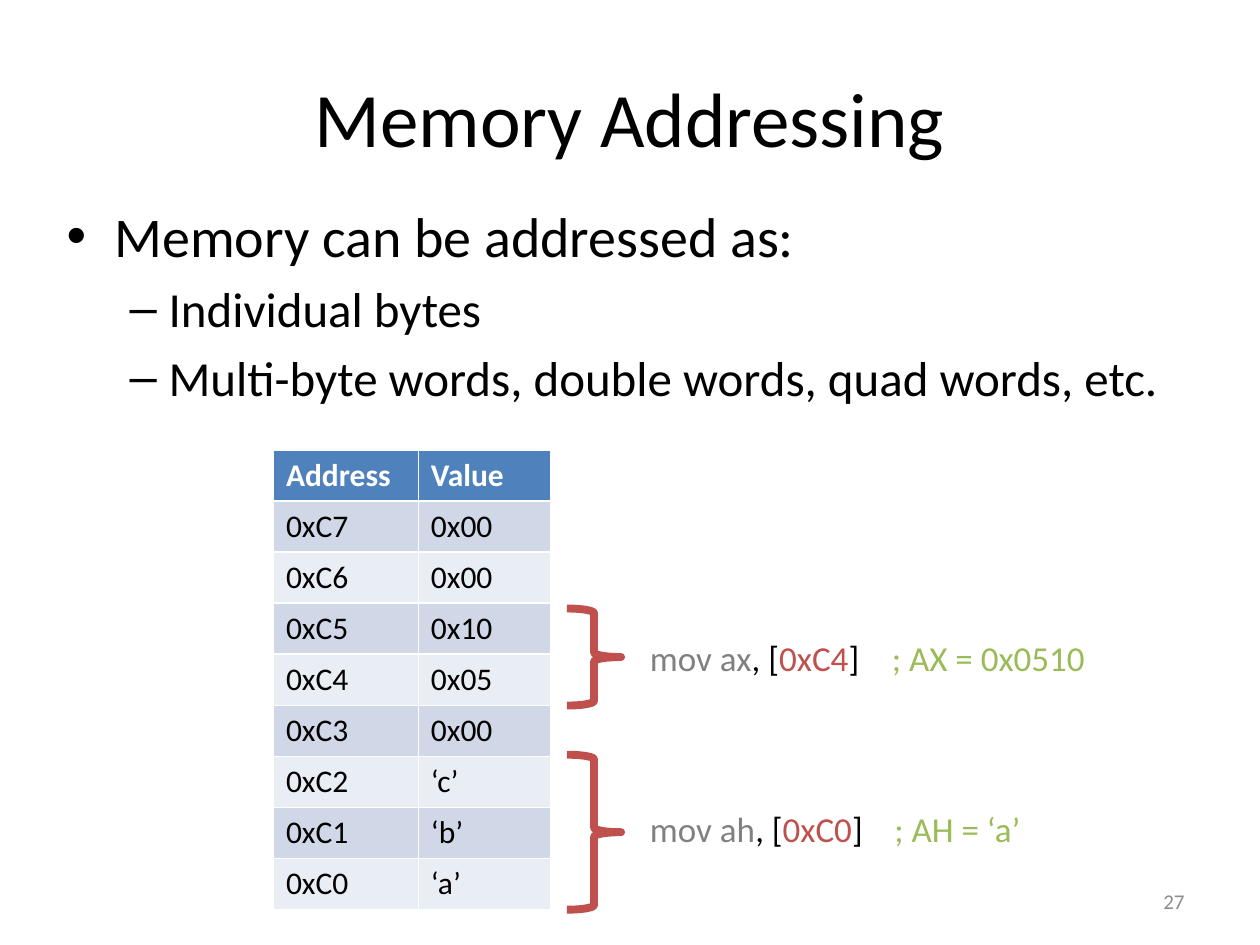
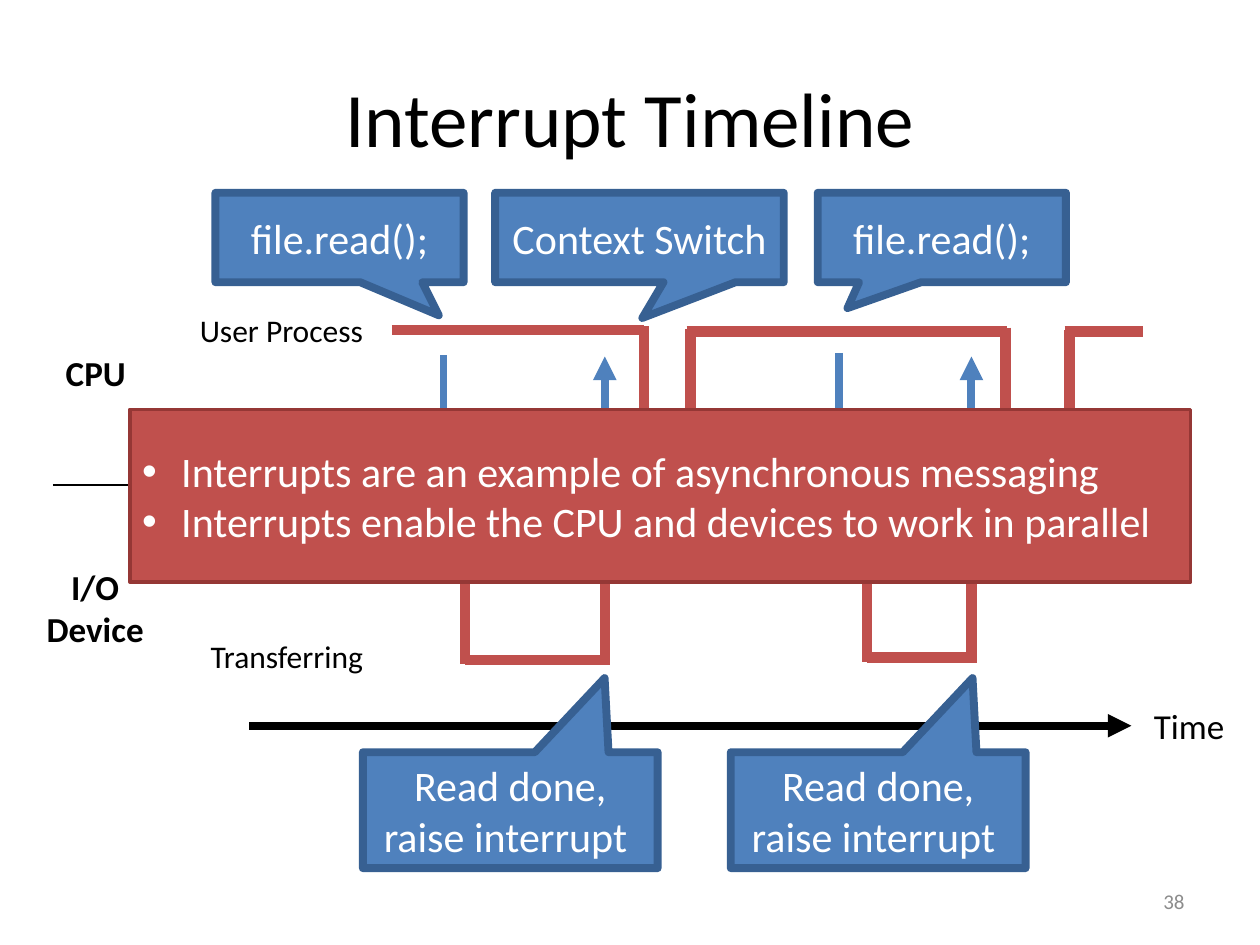
from lxml import etree
from pptx import Presentation
from pptx.dml import color
from pptx.enum import shapes, text
from pptx.oxml import ns
from pptx.util import Inches, Pt

BLACK, WHITE, GRAY, PALE = "000000", "FFFFFF", "808080", "8C8C8C"
BLUE, NAVY, RED, MAROON, GREEN = "4F81BD", "376092", "C0504D", "953735", "9BBB59"
BANDS = ("E9EDF4", "D0D8E8")
SHAPE = shapes.MSO_SHAPE
ALIGN = {"l": text.PP_ALIGN.LEFT, "c": text.PP_ALIGN.CENTER, "r": text.PP_ALIGN.RIGHT}


def rgb(value):
    return color.RGBColor.from_string(value)


def sub(parent, tag, **attrs):
    el = etree.SubElement(parent, ns.qn(tag))
    for name, value in attrs.items():
        el.set(name, str(value))
    return el


class Deck:
    font = "Calibri"

    def __init__(self):
        self.prs = Presentation()
        self.prs.slide_width, self.prs.slide_height = Inches(10), Inches(7.5)

    def slide(self, title, number):
        self.s = self.prs.slides.add_slide(self.prs.slide_layouts[6])
        self.text((0.5, 0.3, 9, 1.25), title, 44, align="c", middle=True)
        self.text((7.17, 6.95, 2.33, 0.4), number, 12, PALE, align="r", middle=True)

    def run(self, p, words, size, fill=BLACK, bold=False):
        r = p.add_run()
        r.text = words
        for name, value in {"name": self.font, "size": Pt(size), "bold": bold}.items():
            setattr(r.font, name, value)
        r.font.color.rgb = rgb(fill)

    def frame(self, sp, middle=False, wrap=True):
        tf = sp.text_frame
        anchor = text.MSO_ANCHOR.MIDDLE if middle else text.MSO_ANCHOR.TOP
        for name, value in {"word_wrap": wrap, "vertical_anchor": anchor}.items():
            setattr(tf, name, value)
        return tf

    def box(self, at):
        return self.s.shapes.add_textbox(*map(Inches, at))

    def text(self, at, words, size, fill=BLACK, bold=False, align="l", middle=False, wrap=True):
        p = self.frame(self.box(at), middle, wrap).paragraphs[0]
        p.alignment = ALIGN[align]
        self.run(p, words, size, fill, bold)

    def code(self, at, parts, tab):
        p = self.frame(self.box(at)).paragraphs[0]
        for words, fill in parts:
            self.run(p, words, 20, fill)
        tabs = sub(p._p.get_or_add_pPr(), "a:tabLst")
        sub(tabs, "a:tab", pos=Inches(tab), algn="l")

    def bullets(self, sp, items, fill=BLACK, middle=False):
        tf = self.frame(sp, middle)
        for i, (words, mark, size, left, hang, before) in enumerate(items):
            p = tf.add_paragraph() if i else tf.paragraphs[0]
            p.alignment = ALIGN["l"]
            p.space_before = Pt(before)
            pPr = p._p.get_or_add_pPr()
            for name, value in {"marL": left, "indent": -hang}.items():
                pPr.set(name, str(Inches(value)))
            sub(pPr, "a:buFont", typeface="Arial")
            sub(pPr, "a:buChar", char=mark)
            self.run(p, words, size, fill)

    def shape(self, kind, at, line, width, fill=None, adjust=()):
        sp = self.s.shapes.add_shape(kind, *map(Inches, at))
        sp.shadow.inherit = False
        if fill:
            sp.fill.solid()
            sp.fill.fore_color.rgb = rgb(fill)
        else:
            sp.fill.background()
        sp.line.color.rgb = rgb(line)
        sp.line.width = Pt(width)
        for i, value in enumerate(adjust):
            sp.adjustments[i] = value
        return sp

    def callout(self, at, words, tip):
        sp = self.shape(SHAPE.RECTANGULAR_CALLOUT, at, NAVY, 4.5, BLUE, tip)
        p = self.frame(sp, middle=True).paragraphs[0]
        p.alignment = ALIGN["c"]
        self.run(p, words, 24, WHITE)

    def line(self, ends, fill, width, arrow=False):
        sp = self.s.shapes.add_connector(shapes.MSO_CONNECTOR.STRAIGHT, *map(Inches, ends))
        sp.line.color.rgb = rgb(fill)
        sp.line.width = Pt(width)
        if arrow:
            sub(sp.line._get_or_add_ln(), "a:tailEnd", type="triangle")
        sub(sp._element.spPr, "a:effectLst")

    def table(self, at, widths, rows):
        tb = self.s.shapes.add_table(len(rows), len(widths), *map(Inches, at)).table
        for col, width in zip(tb.columns, widths):
            col.width = Inches(width)
        for i, row in enumerate(rows):
            for j, words in enumerate(row):
                cell = tb.cell(i, j)
                cell.fill.solid()
                cell.fill.fore_color.rgb = rgb(BANDS[i % 2] if i else BLUE)
                p = cell.text_frame.paragraphs[0]
                self.run(p, words, 18, BLACK if i else WHITE, i == 0)


def memory_addressing(deck):
    deck.slide("Memory Addressing", "27")
    values = ["0x00", "0x00", "0x10", "0x05", "0x00", "‘c’", "‘b’", "‘a’"]
    memory = [(f"0xC{7 - i}", value) for i, value in enumerate(values)]
    deck.table((2.17, 3.57, 2.2, 3.65), (1.15, 1.05), [("Address", "Value")] + memory)
    for top, height in ((5.99, 1.23), (4.83, 0.77)):
        deck.shape(SHAPE.RIGHT_BRACE, (4.5, top, 0.43, height), RED, 4.5)
    for top, register, address, note, tab in (
        (6.36, "ah", "0xC0", "; AH = ‘a’", 1.94),
        (5, "ax", "0xC4", "; AX = 0x0510", 1.92),
    ):
        parts = ((f"mov {register}", GRAY), (", [", BLACK), (address, RED),
                 ("]\t", BLACK), (note, GREEN))
        deck.code((5.06, top, 4, 0.44), parts, tab)
    deck.bullets(deck.box((0.43, 1.55, 9.25, 1.87)), [
        ("Memory can be addressed as:", "•", 32, 0.38, 0.38, 6.4),
        ("Individual bytes", "–", 28, 0.81, 0.31, 5.6),
        ("Multi-byte words, double words, quad words, etc.", "–", 28, 0.81, 0.31, 5.6),
    ])


def interrupt_timeline(deck):
    deck.slide("Interrupt Timeline", "38")
    deck.line((1.98, 5.76, 8.98, 5.76), BLACK, 4.5, arrow=True)
    deck.text((9.06, 5.54, 0.77, 0.44), "Time", 20, wrap=False)
    deck.text((0.42, 2.74, 0.68, 0.44), "CPU", 20, bold=True, align="c", wrap=False)
    deck.text((0.26, 4.44, 0.99, 0.77), "I/O Device", 20, bold=True, align="c")
    deck.line((0.42, 3.85, 8.85, 3.85), BLACK, 0.75)
    deck.text((1.47, 2.42, 1.51, 0.4), "User Process", 18, align="r", wrap=False)
    deck.text((1.56, 5.01, 1.42, 0.4), "Transferring", 18, align="r", wrap=False)

    levels = ((3.11, 5.11, 2.62), (5.45, 7.99, 2.63), (8.45, 9.07, 2.63),
              (3.69, 4.84, 5.24), (6.88, 7.71, 5.22))
    for left, right, y in levels:
        deck.line((left, y, right, y), RED, 6)
    switches = ((5.11, 2.59), (5.48, 2.61), (7.98, 2.6), (8.49, 2.62),
                (3.69, 4.41), (4.8, 4.39), (6.88, 4.39), (7.71, 4.4))
    for x, top in switches:
        deck.line((x, top, x, top + 0.86), RED, 6)
    for x, start, end in ((3.52, 2.82, 4.24), (4.8, 4.19, 2.83),
                          (6.66, 2.8, 4.22), (7.71, 4.19, 2.83)):
        deck.line((x, start, x, end), BLUE, 4.5, arrow=True)

    for left, width, words, tip in (
        (1.71, 1.97, "file.read();", (0.4, 0.87)),
        (6.49, 1.97, "file.read();", (-0.38, 0.79)),
        (3.93, 2.29, "Context Switch", (0.01, 0.9)),
    ):
        deck.callout((left, 1.53, width, 0.71), words, tip)
    for left in (2.88, 5.8):
        deck.callout((left, 5.97, 2.34, 0.92), "Read done, raise interrupt ", (0.32, -1.14))

    banner = deck.shape(SHAPE.RECTANGLE, (1.03, 3.25, 8.42, 1.37), MAROON, 2, RED)
    facts = ("Interrupts are an example of asynchronous messaging",
             "Interrupts enable the CPU and devices to work in parallel")
    deck.bullets(banner, [(fact, "•", 24, 0.31, 0.31, 0) for fact in facts], WHITE, middle=True)


def main():
    deck = Deck()
    memory_addressing(deck)
    interrupt_timeline(deck)
    deck.prs.save("out.pptx")


if __name__ == "__main__":
    main()
